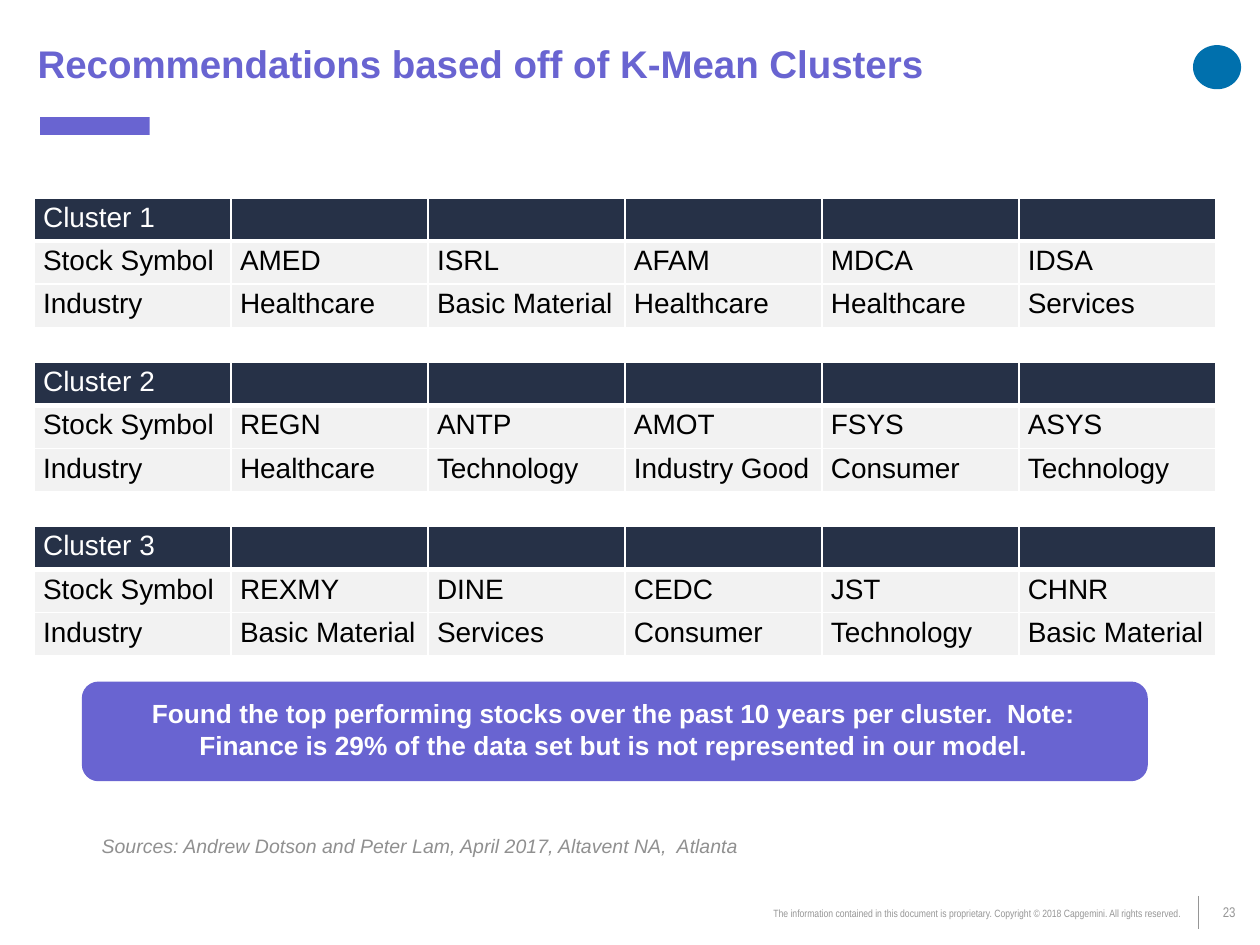
from lxml import etree
from pptx import Presentation
from pptx.dml.color import RGBColor
from pptx.enum.shapes import MSO_CONNECTOR, MSO_SHAPE
from pptx.enum.text import MSO_ANCHOR, PP_ALIGN
from pptx.oxml.ns import qn
from pptx.util import Cm, Pt

RECT, ROUND, OVAL = MSO_SHAPE.RECTANGLE, MSO_SHAPE.ROUNDED_RECTANGLE, MSO_SHAPE.OVAL
LEFT, CENTER, RIGHT = PP_ALIGN.LEFT, PP_ALIGN.CENTER, PP_ALIGN.RIGHT
TOP, MIDDLE = MSO_ANCHOR.TOP, MSO_ANCHOR.MIDDLE

# Content
TITLE = "Recommendations based off of K-Mean Clusters"
CLUSTERS = [
    ("Cluster 1",
     ["AMED", "ISRL", "AFAM", "MDCA", "IDSA"],
     ["Healthcare", "Basic Material", "Healthcare", "Healthcare", "Services"]),
    ("Cluster 2",
     ["REGN", "ANTP", "AMOT", "FSYS", "ASYS"],
     ["Healthcare", "Technology", "Industry Good", "Consumer", "Technology"]),
    ("Cluster 3",
     ["REXMY", "DINE", "CEDC", "JST", "CHNR"],
     ["Basic Material", "Services", "Consumer", "Technology", "Basic Material"]),
]
FINDING = ("Found the top performing stocks over the past 10 years per cluster.  Note: "
           "Finance is 29% of the data set but is not represented in our model.")
SOURCES = "Sources: Andrew Dotson and Peter Lam, April 2017, Altavent NA,  Atlanta"
COPYRIGHT = ("The information contained in this document\u00a0is proprietary. "
             "Copyright © 2018 Capgemini. All rights reserved.")
PAGE = "23"


class Theme:
    ACCENT, HEADER, BODY = "6964D1", "263147", "F2F2F2"
    WHITE, BLACK, BLUE = "FFFFFF", "000000", "0070AD"
    SOURCE, FOOTER = "909090", "969696"
    FONT, NARROW = "Arial", "Arial Narrow"
    TITLE_PT, TABLE_PT, FINDING_PT = 22, 16, 15
    SOURCE_PT, PAGE_PT, COPYRIGHT_PT = 11.1, 8, 6


# Table grid, in cm
TABLE_LEFT, TABLE_TOP, TABLE_PITCH = 0.69, 3.99, 3.31
COL_W, ROW_H = 3.97, 0.87


def style(p, size, color, font=Theme.FONT, bold=False, italic=False):
    f = p.font
    f.name, f.size, f.bold, f.italic = font, Pt(size), bold, italic
    f.color.rgb = RGBColor.from_string(color)


def add_text(s, box, text, size, color, align=LEFT, anchor=TOP, spacing=None, **font):
    sp = s.shapes.add_textbox(*map(Cm, box))
    tf = sp.text_frame
    tf.word_wrap, tf.vertical_anchor = True, anchor
    p = tf.paragraphs[0]
    p.text, p.alignment, p.line_spacing = text, align, spacing
    style(p, size, color, **font)
    return tf


def add_block(s, kind, box, color):
    sp = s.shapes.add_shape(kind, *map(Cm, box))
    sp.shadow.inherit = False
    sp.fill.solid()
    sp.fill.fore_color.rgb = RGBColor.from_string(color)
    sp.line.fill.background()


def set_borders(cell, bottom):
    tc_pr = cell._tc.get_or_add_tcPr()
    for side, width in (("L", 1), ("R", 1), ("T", 1), ("B", bottom)):
        ln = etree.SubElement(tc_pr, qn(f"a:ln{side}"), w=str(Pt(width)))
        fill = etree.SubElement(ln, qn("a:solidFill"))
        etree.SubElement(fill, qn("a:srgbClr"), val=Theme.WHITE)


def add_cluster(s, top, name, symbols, industries):
    rows = [[name] + [""] * len(symbols),
            ["Stock Symbol"] + symbols,
            ["Industry"] + industries]
    n_rows, n_cols = len(rows), len(rows[0])
    table = s.shapes.add_table(n_rows, n_cols, Cm(TABLE_LEFT), Cm(top),
                               Cm(COL_W * n_cols), Cm(ROW_H * n_rows)).table
    table.horz_banding = False
    for col in table.columns:
        col.width = Cm(COL_W)
    for i, row in enumerate(rows):
        header = i == 0
        table.rows[i].height = Cm(ROW_H)
        for j, text in enumerate(row):
            cell = table.cell(i, j)
            cell.margin_left = cell.margin_right = Cm(0.18)
            cell.margin_top = cell.margin_bottom = Cm(0.09)
            set_borders(cell, bottom=3 if header else 1)
            cell.fill.solid()
            cell.fill.fore_color.rgb = RGBColor.from_string(
                Theme.HEADER if header else Theme.BODY)
            p = cell.text_frame.paragraphs[0]
            if text:
                p.text = text
            else:  # keeps empty cells from growing the row
                etree.SubElement(p._p, qn("a:endParaRPr"), sz=str(Theme.TABLE_PT * 100))
            style(p, Theme.TABLE_PT, Theme.WHITE if header else Theme.BLACK)


def main():
    prs = Presentation()
    prs.slide_width, prs.slide_height = Cm(25.4), Cm(19.05)
    s = prs.slides.add_slide(prs.slide_layouts[6])

    # Footer
    rule = s.shapes.add_connector(MSO_CONNECTOR.STRAIGHT,
                                  Cm(24.16), Cm(18.06), Cm(24.16), Cm(18.72))
    rule.line.width = Pt(0.75)
    rule.line.color.rgb = RGBColor.from_string(Theme.FOOTER)
    etree.SubElement(rule._element.spPr, qn("a:effectLst"))
    add_text(s, (24.16, 18.06, 1.24, 0.69), PAGE, Theme.PAGE_PT, Theme.FOOTER,
             CENTER, MIDDLE, 0.85, font=Theme.NARROW)
    add_text(s, (11.4, 18.19, 12.65, 0.48), COPYRIGHT, Theme.COPYRIGHT_PT, Theme.FOOTER,
             RIGHT, spacing=0.85, font=Theme.NARROW)

    # Emblem and title
    add_block(s, OVAL, (24.05, 0.91, 0.97, 0.89), Theme.BLUE)
    add_block(s, RECT, (0.81, 2.36, 2.21, 0.36), Theme.ACCENT)
    tf = add_text(s, (0, 0.08, 24.51, 2.29), TITLE, Theme.TITLE_PT, Theme.ACCENT,
                  anchor=MIDDLE, bold=True)
    tf.margin_left, tf.margin_top = Cm(0.76), Cm(0.1)
    tf.margin_right = tf.margin_bottom = 0

    # Finding
    add_block(s, ROUND, (1.65, 13.74, 21.49, 2.01), Theme.ACCENT)
    add_text(s, (2.03, 13.94, 20.68, 2.36), FINDING, Theme.FINDING_PT, Theme.WHITE,
             CENTER, bold=True)

    # Cluster tables
    for k, cluster in enumerate(CLUSTERS):
        add_cluster(s, TABLE_TOP + k * TABLE_PITCH, *cluster)

    # Sources
    add_text(s, (1.8, 16.69, 20.17, 0.79), SOURCES, Theme.SOURCE_PT, Theme.SOURCE,
             italic=True)

    prs.save("out.pptx")


if __name__ == "__main__":
    main()
